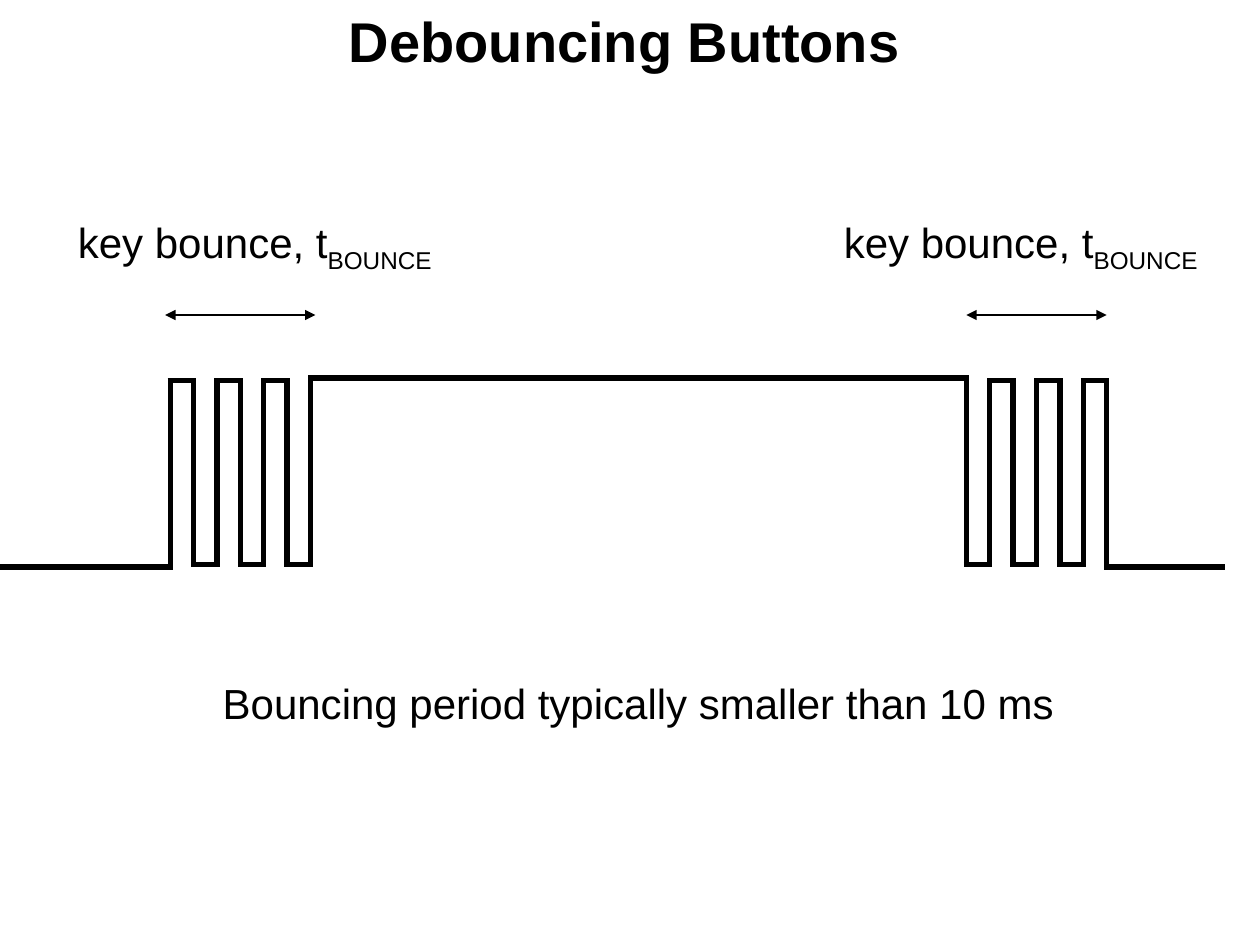
from pptx import Presentation
from pptx.dml.color import RGBColor as Rgb
from pptx.enum.shapes import MSO_CONNECTOR as Link
from pptx.enum.text import MSO_ANCHOR as Anchor, MSO_AUTO_SIZE as Fit, PP_ALIGN as Align
from pptx.oxml.ns import qn
from pptx.util import Cm, Pt
from lxml.etree import SubElement as Sub

INK = {"text": "000000", "wave": "000000", "arrow": "000000"}
FONT = "Arial"
EDGES = 7
LAP = 0.05


def write(frame, runs, size, bold=False):
    frame.word_wrap = False
    frame.auto_size = Fit.NONE
    frame.vertical_anchor = Anchor.TOP
    para = frame.paragraphs[0]
    para.alignment = Align.LEFT
    for text, base in runs:
        run = para.add_run()
        run.text = text
        font = run.font
        font.name, font.size, font.bold = FONT, Pt(size), bold
        font.color.rgb = Rgb.from_string(INK["text"])
        if base:
            run._r.get_or_add_rPr().set("baseline", str(base * 1000))


def head(slide, box):
    title = slide.shapes.title
    title.left, title.top, title.width, title.height = map(Cm, box)
    write(title.text_frame, [("Debouncing Buttons", 0)], 32, True)


def note(slide, box, runs):
    shape = slide.shapes.add_textbox(*map(Cm, box))
    write(shape.text_frame, runs, 24)


def line(slide, x1, y1, x2, y2, tone="wave", width=3):
    link = slide.shapes.add_connector(Link.STRAIGHT, *map(Cm, (x1, y1, x2, y2)))
    link.line.color.rgb = Rgb.from_string(INK[tone])
    link.line.width = Pt(width)
    Sub(link._element.spPr, qn("a:effectLst"))
    return link


def arrow(slide, x1, x2, y):
    link = line(slide, x1, y, x2, y, "arrow", 0.75)
    stroke = link.line._get_or_add_ln()
    for end in ("a:headEnd", "a:tailEnd"):
        Sub(stroke, qn(end)).set("type", "triangle")


def burst(slide, box, high):
    left, top, width, tall = box
    low = top + tall
    step = width / (EDGES - 1)
    for i in range(EDGES):
        x = left + i * step
        line(slide, x, top, x, low)
        if i < EDGES - 1:
            y = top + LAP if high else low - LAP
            line(slide, x - LAP, y, x + step + LAP, y)
            high = not high


def wave(slide, box):
    left, top, width, tall = box
    low = top + tall
    rise, fall, span = left + 3.43, left + 19.48, 2.83
    line(slide, left, low, rise + LAP, low)
    burst(slide, (rise, top, span, tall), True)
    line(slide, rise + span - LAP, top, fall + LAP, top)
    burst(slide, (fall, top, span, tall), False)
    line(slide, fall + span - LAP, low, left + width, low)
    arrow(slide, rise - 0.1, rise + span + 0.1, top - 1.27)
    arrow(slide, fall, fall + span, top - 1.27)
    for x in (left + 1.32, left + 16.76):
        note(slide, (x, top - 3.38, 7.98, 1.27), [("key bounce, t", 0), ("BOUNCE", -25)])


def main():
    deck = Presentation()
    deck.slide_width, deck.slide_height = Cm(25.4), Cm(19.05)
    slide = deck.slides.add_slide(deck.slide_layouts[5])
    head(slide, (6.78, 0, 11.71, 1.63))
    wave(slide, (0, 7.62, 24.69, 3.81))
    note(slide, (4.24, 13.54, 17.42, 1.3),
         [("Bouncing period typically smaller than 10 ms", 0)])
    deck.save("out.pptx")


if __name__ == "__main__":
    main()
